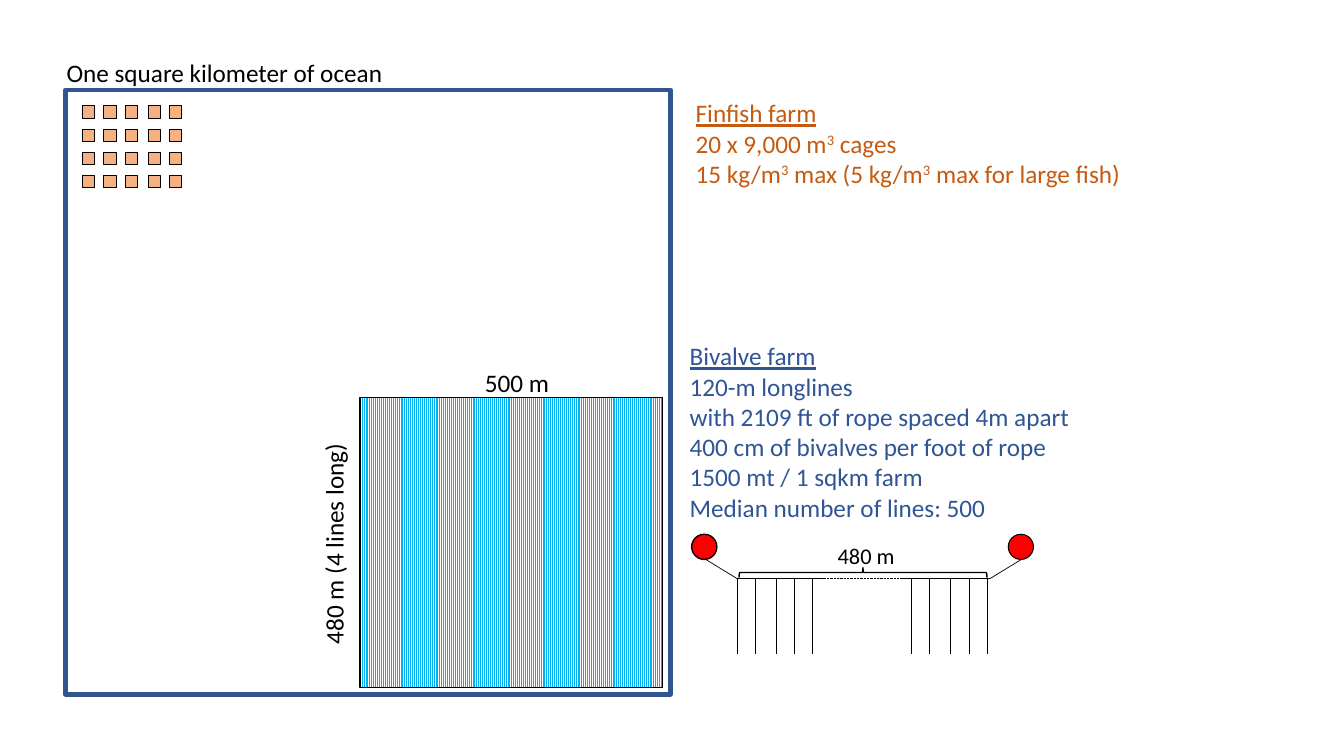
import dataclasses
import pptx
import pptx.util
import pptx.dml.color
import pptx.enum.dml
import pptx.enum.shapes
import pptx.enum.text
import pptx.oxml.ns

Inches = pptx.util.Inches
Pt = pptx.util.Pt
Shape = pptx.enum.shapes.MSO_SHAPE


@dataclasses.dataclass(frozen=True)
class Theme:
    """Colours and type sizes of the slide."""
    font: str = "Calibri"
    ink: str = "000000"
    paper: str = "FFFFFF"
    ocean: str = "325491"
    cage: str = "F4B183"
    finfish: str = "C55A11"
    bivalve: str = "2F5597"
    longline: str = "00B0F0"
    buoy: str = "FF0000"
    text_size: float = 18
    small_size: float = 16
    hairline: float = 0.5


def rgb(value):
    """Turn a hex string into a colour."""
    return pptx.dml.color.RGBColor.from_string(value)


def append_empty(parent, tag):
    """Append an empty XML element to a parent."""
    parent.append(parent.makeelement(pptx.oxml.ns.qn(tag), {}))


class SlideBuilder:
    """Draws styled elements on the current slide."""

    def __init__(self, slide, theme):
        """Keep the slide and its theme."""
        self.slide = slide
        self.theme = theme

    def place(self, shape, box):
        """Move a shape to a box given in inches."""
        shape.left, shape.top, shape.width, shape.height = map(Inches, box)

    def set_text(self, shape, lines, color, size, wrap=False):
        """Fill a shape with lines, where carets enclose superscripts."""
        frame = shape.text_frame
        frame.word_wrap = wrap
        frame.auto_size = pptx.enum.text.MSO_AUTO_SIZE.NONE
        frame.vertical_anchor = pptx.enum.text.MSO_ANCHOR.TOP
        frame.text = "\n".join(lines)
        for paragraph, line in zip(frame.paragraphs, lines):
            paragraph.alignment = pptx.enum.text.PP_ALIGN.LEFT
            paragraph.space_before = Pt(0)
            parts = line.split("^")
            paragraph.runs[0].text = parts[0]
            for part in parts[1:]:
                paragraph.add_run().text = part
            for index, run in enumerate(paragraph.runs):
                run.font.name = self.theme.font
                run.font.size = Pt(size)
                run.font.color.rgb = rgb(color)
                if index % 2:
                    run.font._element.set("baseline", "30000")

    def title(self, text, box):
        """Fill the title placeholder."""
        shape = self.slide.shapes.title
        self.place(shape, box)
        self.set_text(shape, [text], self.theme.ink, self.theme.text_size)

    def farm_list(self, index, lines, box, color):
        """Fill a body placeholder with an underlined heading and its lines."""
        shape = self.slide.placeholders[index]
        self.place(shape, box)
        self.set_text(shape, lines, color, self.theme.text_size, wrap=True)
        for paragraph in shape.text_frame.paragraphs:
            properties = paragraph._p.get_or_add_pPr()
            properties.set("marL", "0")
            properties.set("indent", "0")
            append_empty(properties, "a:buNone")
        shape.text_frame.paragraphs[0].runs[0].font.underline = True

    def label(self, text, box, size, rotation=0):
        """Add a one-line label."""
        shape = self.slide.shapes.add_textbox(*map(Inches, box))
        shape.rotation = rotation
        self.set_text(shape, [text], self.theme.ink, size)

    def shape(self, kind, box, fill=None, line=None, weight=1, rotation=0):
        """Add a preset shape with a solid fill or none."""
        shape = self.slide.shapes.add_shape(kind, *map(Inches, box))
        shape.shadow.inherit = False
        shape.rotation = rotation
        if fill:
            shape.fill.solid()
            shape.fill.fore_color.rgb = rgb(fill)
        else:
            shape.fill.background()
        shape.line.color.rgb = rgb(line or self.theme.ink)
        shape.line.width = Pt(weight)
        return shape

    def striped_field(self, box, rotation):
        """Add a rectangle with fine vertical stripes."""
        field = self.shape(Shape.RECTANGLE, box, rotation=rotation)
        field.fill.patterned()
        field.fill.pattern = pptx.enum.dml.MSO_PATTERN.LIGHT_VERTICAL
        field.fill.fore_color.rgb = rgb(self.theme.longline)
        field.fill.back_color.rgb = rgb(self.theme.paper)

    def line(self, start, end, dash=None):
        """Add a thin straight line."""
        connector = self.slide.shapes.add_connector(
            pptx.enum.shapes.MSO_CONNECTOR.STRAIGHT, *map(Inches, (*start, *end)))
        connector.line.color.rgb = rgb(self.theme.ink)
        connector.line.width = Pt(self.theme.hairline)
        if dash:
            connector.line.dash_style = dash
        append_empty(connector._element.spPr, "a:effectLst")


def draw_ocean(builder):
    """Draw the ocean square with its cages and longline field."""
    theme = builder.theme
    builder.title("One square kilometer of ocean", (0.56, 0.52, 3.37, 0.4))
    builder.shape(Shape.RECTANGLE, (0.65, 0.89, 6, 6), line=theme.ocean, weight=3)
    for row in range(4):
        for offset in (0, 0.21, 0.42, 0.65, 0.86):
            builder.shape(Shape.RECTANGLE, (0.82 + offset, 1.05 + 0.23 * row, 0.12, 0.12),
                          theme.cage, weight=theme.hairline)
    builder.striped_field((3.63, 3.88, 2.88, 3), 270)
    builder.label("480 m (4 lines long)", (2.2, 5.18, 2.22, 0.4), theme.text_size, 270)
    builder.label("500 m", (4.71, 3.59, 0.85, 0.4), theme.text_size)


def draw_longline(builder):
    """Draw one longline with buoys, ropes and its length."""
    theme = builder.theme
    left, right, top, bottom = 7.31, 9.82, 5.74, 6.49
    for buoy_left, weight in ((6.86, 1), (10, 0.75)):
        builder.shape(Shape.OVAL, (buoy_left, 5.3, 0.25, 0.25), theme.buoy, weight=weight)
    builder.line((left, top), (8.17, top))
    builder.line((8.1, top), (8.96, top), pptx.enum.dml.MSO_LINE.ROUND_DOT)
    builder.line((8.96, top), (right, top))
    builder.line((right, top), (10.13, 5.55))
    builder.line((left, top), (7, 5.55))
    for group_left in (left, 9.04):
        for offset in (0, 0.18, 0.39, 0.57, 0.75):
            rope = group_left + offset
            builder.line((rope, top), (rope, bottom))
    builder.label("480 m", (8.21, 5.33, 0.77, 0.37), theme.small_size)
    builder.shape(Shape.RIGHT_BRACE, (8.51, 4.45, 0.1, 2.46), rotation=270)


def main():
    """Build and save the presentation."""
    presentation = pptx.Presentation()
    presentation.slide_width = Inches(13.33)
    presentation.slide_height = Inches(7.5)
    slide = presentation.slides.add_slide(presentation.slide_layouts.get_by_name("Two Content"))
    theme = Theme()
    builder = SlideBuilder(slide, theme)
    draw_ocean(builder)
    builder.farm_list(1, [
        "Finfish farm",
        "20 x 9,000 m^3^ cages",
        "15 kg/m^3^ max (5 kg/m^3^ max for large fish)",
    ], (6.8, 0.92, 4.48, 1.01), theme.finfish)
    builder.farm_list(2, [
        "Bivalve farm",
        "120-m longlines",
        "with 2109 ft of rope spaced 4m apart",
        "400 cm of bivalves per foot of rope",
        "1500 mt / 1 sqkm farm",
        "Median number of lines: 500",
    ], (6.74, 3.33, 4.01, 2.22), theme.bivalve)
    draw_longline(builder)
    presentation.save("out.pptx")


main()
